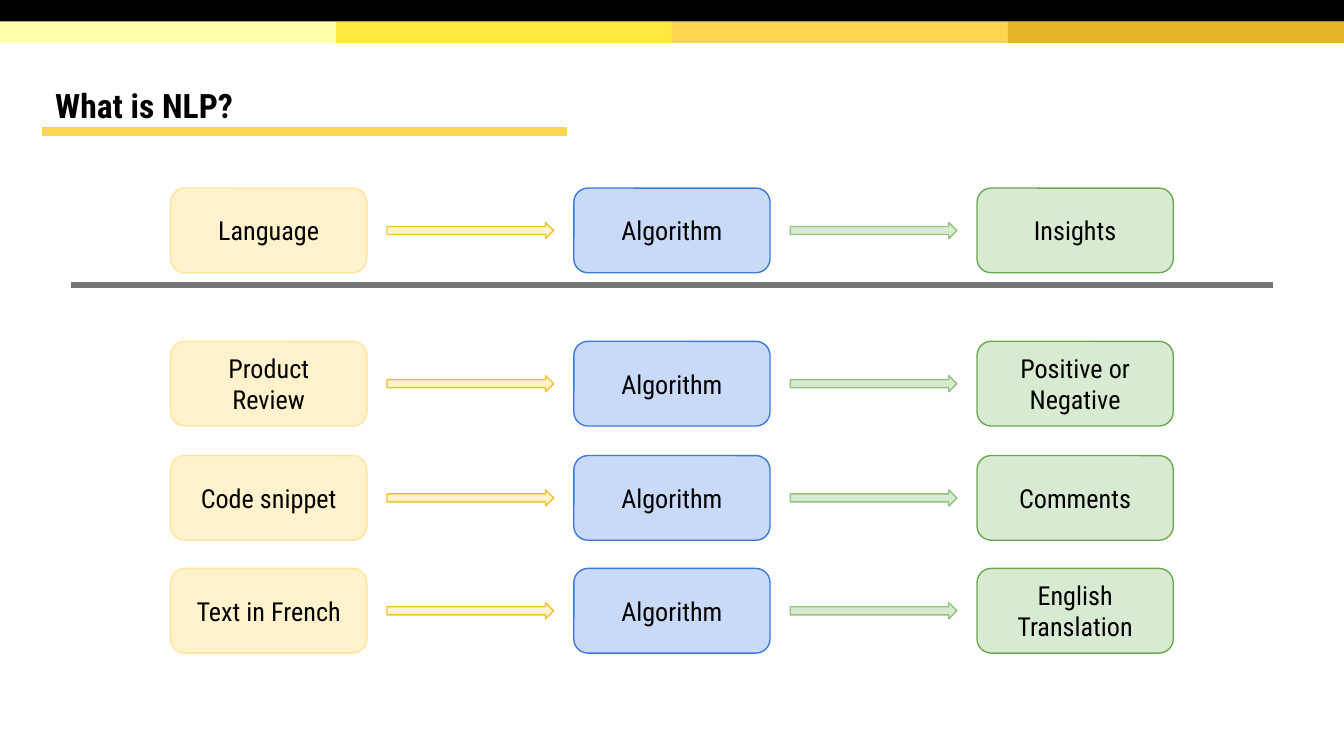
from pptx import Presentation
from pptx.dml.color import RGBColor
from pptx.enum.shapes import MSO_CONNECTOR, MSO_SHAPE
from pptx.enum.text import MSO_ANCHOR, PP_ALIGN
from pptx.oxml.ns import qn
from pptx.util import Inches, Pt
from lxml.etree import SubElement

FONT = "Roboto Condensed"
COLORS = {
    "black": "000000", "amber": "FFD54F", "divider": "757575",
    "band_1": "FFFFAA", "band_2": "FFEA3D", "band_3": "FFD54F", "band_4": "E4B429",
    "input": "FFF2CC", "input_edge": "FFE599", "input_arrow": "F1C232",
    "algorithm": "C9DAF8", "algorithm_edge": "3C78D8",
    "output": "D9EAD3", "output_edge": "6AA84F", "output_arrow": "93C47D",
}
STAGES = ["input", "algorithm", "output"]
FLOWS = [
    (1.4, ["Language", "Algorithm", "Insights"]),
    (2.54, ["Product\nReview", "Algorithm", "Positive or Negative"]),
    (3.39, ["Code snippet", "Algorithm", "Comments"]),
    (4.23, ["Text in French", "Algorithm", "English Translation"]),
]
BAND_HEIGHT = 0.16
FIRST_LEFT, STAGE_STEP = 1.27, 3
BOX_WIDTH, BOX_HEIGHT = 1.46, 0.63
ARROW_WIDTH, ARROW_HEIGHT = 1.24, 0.12


def color(name):
    """Return the named colour."""
    return RGBColor.from_string(COLORS[name])


def set_font(paragraph, size, bold=False):
    """Set the slide's font on a paragraph."""
    font = paragraph.font
    font.name, font.size, font.bold = FONT, Pt(size), bold
    font.color.rgb = color("black")


def add_filled(slide, preset, left, top, width, height, fill, edge=None):
    """Add a filled preset shape, outlined if an edge colour is given."""
    shape = slide.shapes.add_shape(
        preset, Inches(left), Inches(top), Inches(width), Inches(height))
    shape.shadow.inherit = False
    shape.fill.solid()
    shape.fill.fore_color.rgb = color(fill)
    if edge:
        shape.line.color.rgb = color(edge)
        shape.line.width = Pt(0.75)
    else:
        shape.line.fill.background()
    return shape


def add_rule(slide, left, right, y, name, weight):
    """Add a horizontal line."""
    rule = slide.shapes.add_connector(
        MSO_CONNECTOR.STRAIGHT, Inches(left), Inches(y), Inches(right), Inches(y))
    rule.line.color.rgb = color(name)
    rule.line.width = Pt(weight)
    SubElement(rule._element.spPr, qn("a:effectLst"))


def add_header(slide):
    """Add the colour bands across the top."""
    for index in range(4):
        add_filled(slide, MSO_SHAPE.RECTANGLE, index * 2.5, BAND_HEIGHT,
                   2.5, BAND_HEIGHT, f"band_{index + 1}")
    add_filled(slide, MSO_SHAPE.RECTANGLE, 0, 0, 10, BAND_HEIGHT, "black")


def set_title(slide, text):
    """Place and format the title with its underline."""
    title = slide.shapes.title
    title.left, title.top = Inches(0.34), Inches(0.49)
    title.width, title.height = Inches(9.32), Inches(0.63)
    frame = title.text_frame
    frame.text = text
    frame.vertical_anchor = MSO_ANCHOR.MIDDLE
    frame.margin_left = frame.margin_right = Inches(0.07)
    frame.margin_top = frame.margin_bottom = Inches(0.04)
    heading = frame.paragraphs[0]
    heading.alignment = PP_ALIGN.LEFT
    heading.line_spacing = 0.85
    set_font(heading, 18, bold=True)
    add_rule(slide, 0.31, 4.22, 0.98, "amber", 4.5)


def add_stage(slide, left, top, stage, label):
    """Add one labelled stage box."""
    box = add_filled(slide, MSO_SHAPE.ROUNDED_RECTANGLE, left, top,
                     BOX_WIDTH, BOX_HEIGHT, stage, f"{stage}_edge")
    frame = box.text_frame
    frame.text = label
    frame.word_wrap = True
    frame.vertical_anchor = MSO_ANCHOR.MIDDLE
    frame.margin_left = frame.margin_right = Inches(0.1)
    frame.margin_top = frame.margin_bottom = Inches(0.1)
    for paragraph in frame.paragraphs:
        paragraph.alignment = PP_ALIGN.CENTER
        set_font(paragraph, 14)


def add_flow(slide, top, labels):
    """Add a row of stages with arrows between them."""
    lefts = [FIRST_LEFT + index * STAGE_STEP for index in range(len(STAGES))]
    for left, stage, label in zip(lefts, STAGES, labels):
        add_stage(slide, left, top, stage, label)
    gap = STAGE_STEP - BOX_WIDTH
    arrow_top = top + (BOX_HEIGHT - ARROW_HEIGHT) / 2
    for left, stage in zip(lefts, ["input", "output"]):
        arrow_left = left + BOX_WIDTH + (gap - ARROW_WIDTH) / 2
        add_filled(slide, MSO_SHAPE.RIGHT_ARROW, arrow_left, arrow_top,
                   ARROW_WIDTH, ARROW_HEIGHT, stage, f"{stage}_arrow")


def main():
    """Build and save the slide."""
    deck = Presentation()
    deck.slide_width, deck.slide_height = Inches(10), Inches(10 * 9 / 16)
    slide = deck.slides.add_slide(deck.slide_layouts[5])
    add_header(slide)
    set_title(slide, "What is NLP?")
    for top, labels in FLOWS:
        add_flow(slide, top, labels)
    add_rule(slide, 0.53, 9.47, 2.12, "divider", 3)
    deck.save("out.pptx")


if __name__ == "__main__":
    main()
